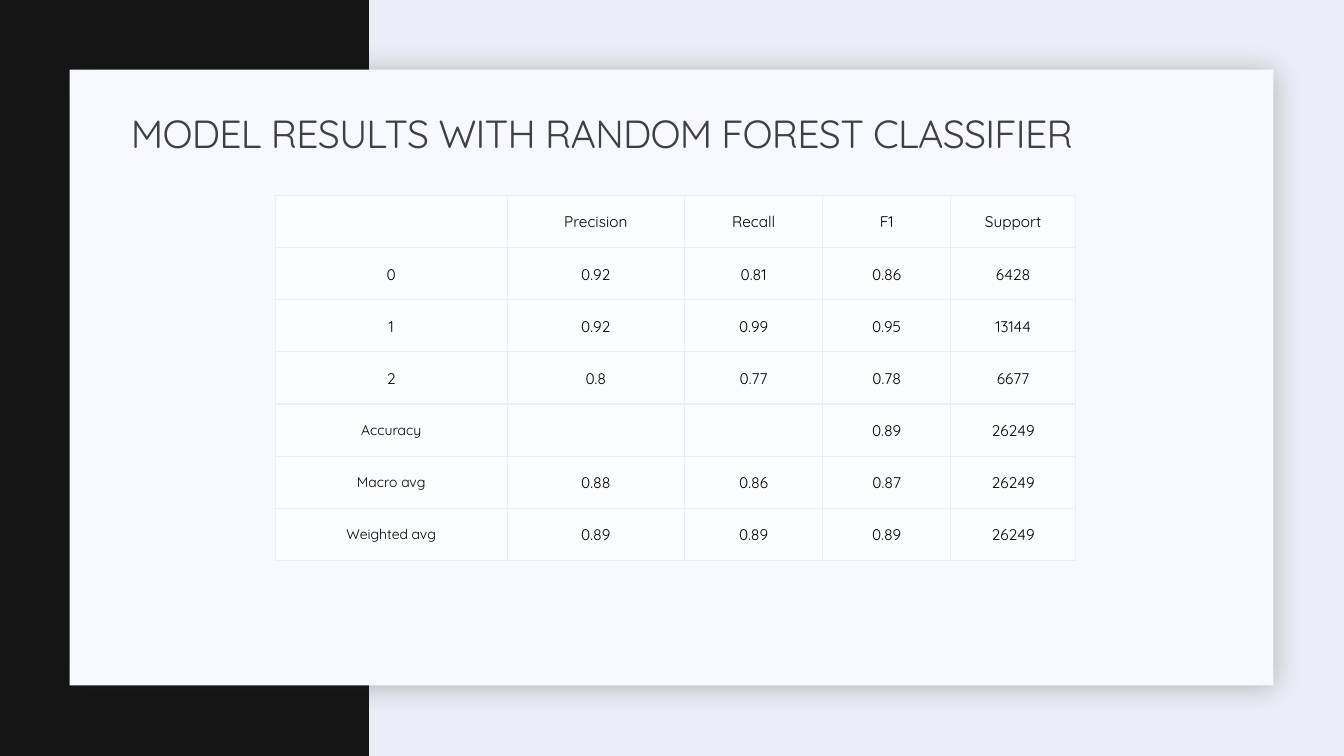
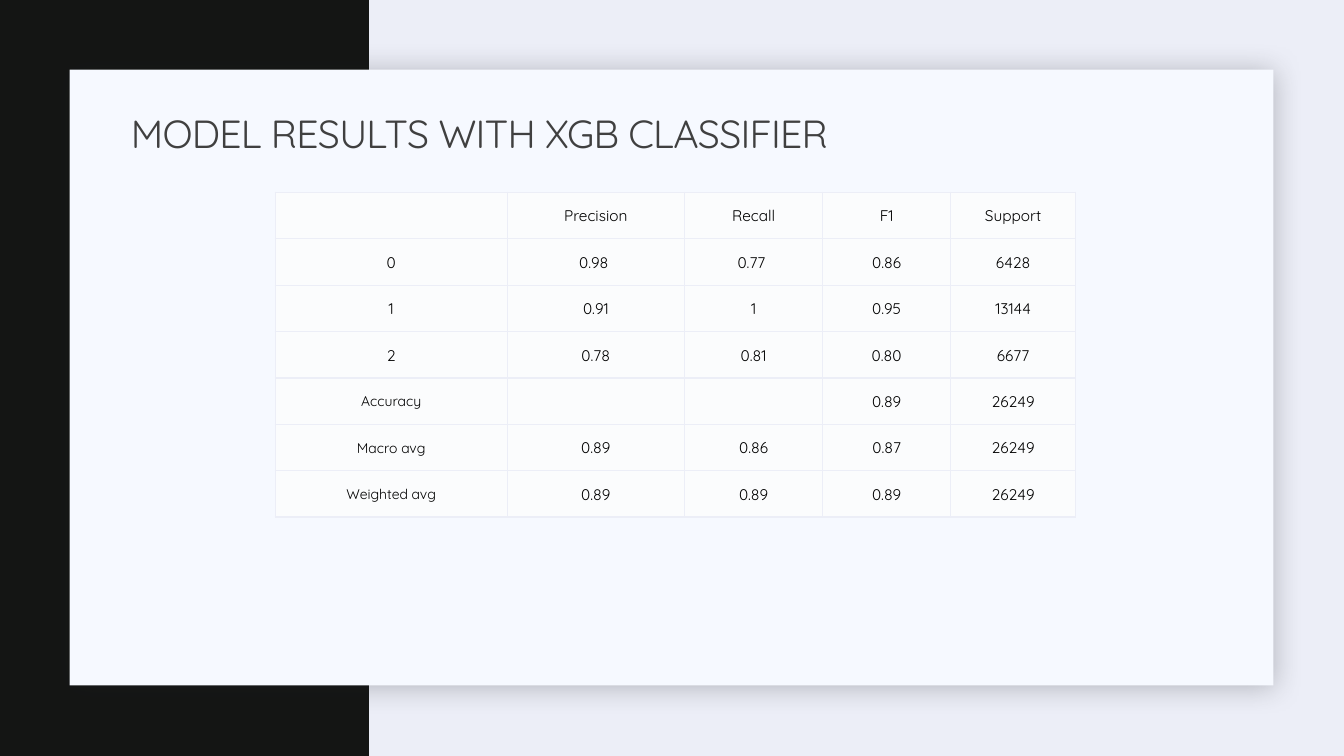
from dataclasses import dataclass

from lxml import etree
from pptx import Presentation
from pptx import util as u
from pptx.dml.color import RGBColor
from pptx.enum import shapes, text
from pptx.oxml.ns import qn


@dataclass(frozen=True)
class Theme:
    """Colours, font and type sizes of the deck."""
    backdrop: str = "ECEEF7"
    band: str = "141514"
    panel: str = "F6F9FF"
    shadow: str = "1F2125"
    title: str = "404040"
    cell: str = "FBFCFD"
    ink: str = "000000"
    font: str = "Quicksand"
    title_size: int = 28
    cell_size: int = 11
    summary_size: int = 10


class Deck:
    """Builds slides in one shared style."""

    def __init__(self, theme):
        """Open a blank widescreen presentation."""
        self.theme = theme
        self.prs = Presentation()
        self.prs.slide_width = u.Inches(13.33)
        self.prs.slide_height = u.Inches(7.5)
        self.slide = None

    def new_slide(self, title):
        """Start a slide with its backdrop, band, panel and title."""
        t = self.theme
        self.slide = self.prs.slides.add_slide(self.prs.slide_layouts[6])
        fill = self.slide.background.fill
        fill.solid()
        fill.fore_color.rgb = RGBColor.from_string(t.backdrop)
        self.rect(0, 0, 3.66, 7.5, t.band)
        self.cast_shadow(self.rect(0.69, 0.69, 11.94, 6.11, t.panel))
        self.title(title)

    def rect(self, x, y, w, h, color):
        """Add a plain filled rectangle."""
        sp = self.slide.shapes.add_shape(
            shapes.MSO_SHAPE.RECTANGLE, *map(u.Inches, (x, y, w, h)))
        sp.shadow.inherit = False
        sp.fill.solid()
        sp.fill.fore_color.rgb = RGBColor.from_string(color)
        sp.line.fill.background()
        return sp

    def cast_shadow(self, sp):
        """Give a shape a soft outer shadow."""
        effects = sp._element.spPr.find(qn("a:effectLst"))
        outer = etree.SubElement(
            effects, qn("a:outerShdw"), blurRad=str(u.Pt(20)),
            dist=str(u.Pt(2)), dir="2700000", algn="ctr", rotWithShape="0")
        color = etree.SubElement(outer, qn("a:srgbClr"), val=self.theme.shadow)
        etree.SubElement(color, qn("a:alpha"), val="28000")

    def run(self, p, words, size, color):
        """Add a styled run to a paragraph."""
        r = p.add_run()
        r.text = words
        r.font.name = self.theme.font
        r.font.size = u.Pt(size)
        r.font.color.rgb = RGBColor.from_string(color)
        return r

    def title(self, words):
        """Add the slide title."""
        box = self.slide.shapes.add_textbox(
            *map(u.Inches, (1.2, 1.03, 11, 0.64)))
        tf = box.text_frame
        tf.word_wrap = True
        tf.vertical_anchor = text.MSO_ANCHOR.MIDDLE
        p = tf.paragraphs[0]
        p.line_spacing = 0.9
        r = self.run(p, words, self.theme.title_size, self.theme.title)
        r.font._element.set("spc", "-50")

    def table(self, rows, y, height):
        """Add a table of centred scores with equal row heights."""
        widths = (2.3, 1.76, 1.37, 1.27, 1.24)
        frame = self.slide.shapes.add_table(
            len(rows), len(widths),
            *map(u.Inches, (2.73, y, sum(widths), height)))
        tbl = frame.table
        tbl.first_row = tbl.horz_banding = False
        for column, width in zip(tbl.columns, widths):
            column.width = u.Inches(width)
        for i, row in enumerate(rows):
            for j, words in enumerate(row):
                self.cell(tbl.cell(i, j), words)

    def cell(self, cell, words):
        """Fill, border and label one table cell."""
        t = self.theme
        cell.margin_left = cell.margin_right = cell.margin_top = u.Inches(0.01)
        cell.margin_bottom = 0
        cell.vertical_anchor = text.MSO_ANCHOR.MIDDLE
        cell.fill.solid()
        cell.fill.fore_color.rgb = RGBColor.from_string(t.cell)
        self.border(cell)
        p = cell.text_frame.paragraphs[0]
        p.alignment = text.PP_ALIGN.CENTER
        if words:
            size = t.summary_size if words in SUMMARY_LABELS else t.cell_size
            self.run(p, words, size, t.ink)

    def border(self, cell):
        """Draw thin lines on all four sides of a cell."""
        tc_pr = cell._tc.get_or_add_tcPr()
        for i, side in enumerate(("a:lnL", "a:lnR", "a:lnT", "a:lnB")):
            ln = etree.Element(qn(side), w=str(u.Pt(1)))
            fill = etree.SubElement(ln, qn("a:solidFill"))
            etree.SubElement(fill, qn("a:srgbClr"), val=self.theme.backdrop)
            tc_pr.insert(i, ln)


SUMMARY_LABELS = ("Accuracy", "Macro avg", "Weighted avg")
HEADER = ("", "Precision", "Recall", "F1", "Support")
LABELS = ("0", "1", "2") + SUMMARY_LABELS
SUPPORT = ("6428", "13144", "6677", "26249", "26249", "26249")

MODELS = (
    ("RANDOM FOREST", 1.94, 3.62, (
        ("0.92", "0.81", "0.86"),
        ("0.92", "0.99", "0.95"),
        ("0.8", "0.77", "0.78"),
        ("", "", "0.89"),
        ("0.88", "0.86", "0.87"),
        ("0.89", "0.89", "0.89"))),
    ("XGB", 1.91, 3.22, (
        ("0.98 ", "0.77 ", "0.86"),
        ("0.91", "1", "0.95"),
        ("0.78", "0.81", "0.80"),
        ("", "", "0.89"),
        ("0.89", "0.86", "0.87"),
        ("0.89", "0.89", "0.89"))),
)

deck = Deck(Theme())
for model, top, height, scores in MODELS:
    deck.new_slide(f"MODEL RESULTS WITH {model} CLASSIFIER")
    body = [(label, *score, support)
            for label, score, support in zip(LABELS, scores, SUPPORT)]
    deck.table([HEADER, *body], top, height)
deck.prs.save("out.pptx")
